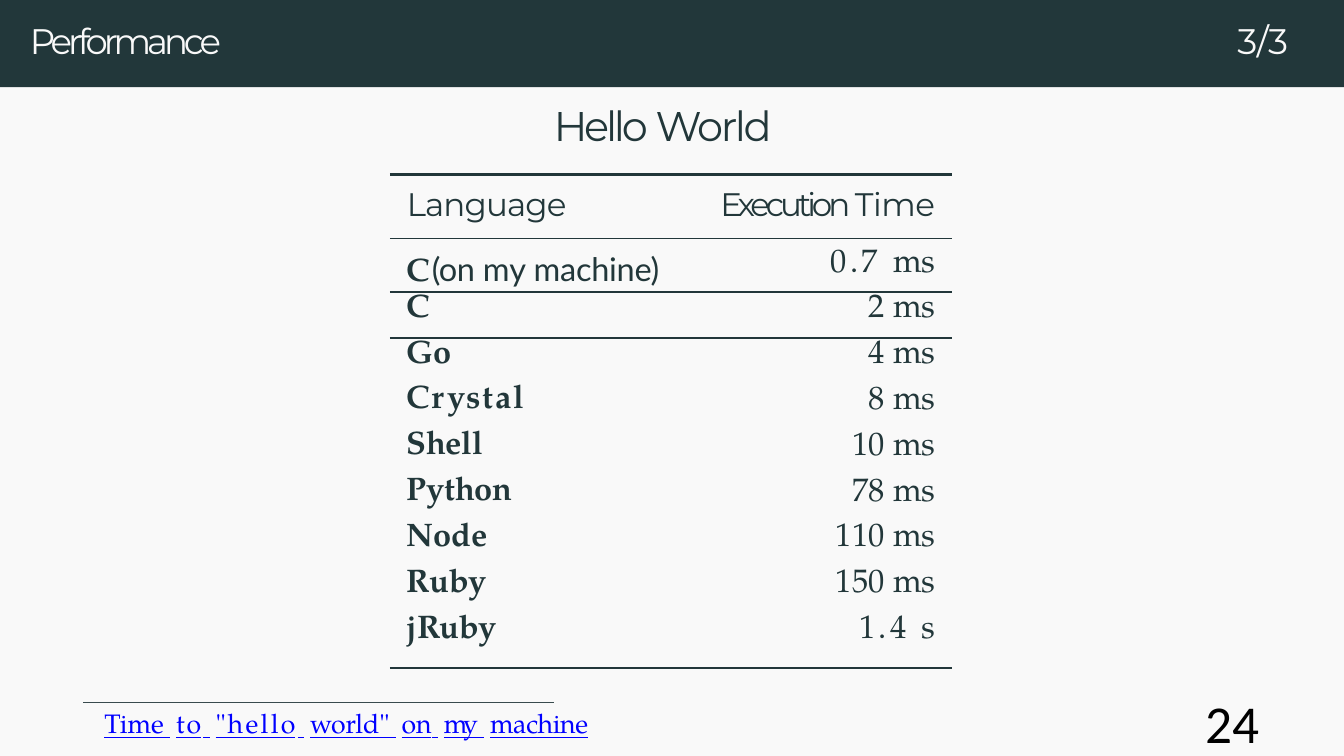
from lxml import etree
from pptx import Presentation
from pptx.dml.color import RGBColor
from pptx.enum.shapes import MSO_CONNECTOR, MSO_SHAPE
from pptx.enum.text import MSO_ANCHOR, MSO_AUTO_SIZE, PP_ALIGN
from pptx.oxml.ns import qn
from pptx.util import Inches, Pt

LEFT, RIGHT = PP_ALIGN.LEFT, PP_ALIGN.RIGHT
TOP, NO_FIT = MSO_ANCHOR.TOP, MSO_AUTO_SIZE.NONE
RECT, STRAIGHT = MSO_SHAPE.RECTANGLE, MSO_CONNECTOR.STRAIGHT

W, H = 6.31, 3.55
DARK, PALE, BLUE, BLACK, GREY = "22373A", "F9F9F9", "0000FF", "000000", "394B4E"
SANS, SERIF, LATO, PLAIN = "Montserrat", "TeX Gyre Pagella", "Lato", "Calibri"
NO_STYLE = "{2D5ABB26-0587-4C30-8999-92F81FD0307C}"

# Runs are (text, letter spacing in points)
TITLE = [("Performance", -1.4)]
PART = [("3/3", -0.2)]
SUBTITLE = [("Hello ", -1.1), ("World", -0.8)]
PAGE = [("24", 0)]
FOOTNOTE = [("Time", 0), ("to", 0.7), ('"hello', 0.8), ("world\"", 0),
            ("on", 0), ("my", -1.1), ("machine", -0.1)]
WORD_GAP = 1.9

HEADINGS = [("Language", -0.3)], [("Execution ", -1.4), ("Time", -0.2)]
MACHINE_NOTE = [("(on ", -0.2), ("my ", 0), ("machine)", -0.1)]
# Language, its spacing, time, its spacing, unit, its spacing
TIMINGS = [
    ("C ", -2.3, "0.7 ", 1.1, "ms", -0.2),
    ("C", 0, "2 ", 0, "ms", -0.2),
    ("Go", 0, "4 ", 0, "ms", -0.2),
    ("Crystal", 0.5, "8 ", 0, "ms", -0.2),
    ("Shell", -0.1, "10 ", 0, "ms", -0.2),
    ("Python", -0.1, "78 ", 0, "ms", -0.2),
    ("Node", 0, "110 ", 0, "ms", -0.2),
    ("Ruby", 0, "150 ", 0, "ms", -0.2),
    ("jRuby", -0.1, "1.4 ", 1.1, "s", 0.5),
]
TABLE_X, TABLE_Y, TABLE_H = 1.83, 0.82, 2.32
COLUMNS = 1.38, 1.26
HEAD_H, FIRST_H, LAST_H = 0.3, 0.25, 0.26
RULES = {0: 1, 1: 0.75, 2: 0.75, 10: 1}  # row boundary: line width


def rgb(color):
    return RGBColor.from_string(color)


def add_runs(p, runs, font, size, color, bold=False, underline=False):
    for text, spacing in runs:
        r = p.add_run()
        r.text = text
        r.font.name, r.font.size = font, Pt(size)
        r.font.bold, r.font.underline = bold, underline
        r.font.color.rgb = rgb(color)
        r._r.get_or_add_rPr().set("spc", str(round(spacing * 100)))


def place_text(sp, box, runs, font, size, color, margins=(0, 0.01), **style):
    sp.left, sp.top, sp.width, sp.height = map(Inches, box)
    tf = sp.text_frame
    tf.word_wrap, tf.auto_size, tf.vertical_anchor = True, NO_FIT, TOP
    tf.margin_left = tf.margin_right = Inches(margins[0])
    tf.margin_top, tf.margin_bottom = Inches(margins[1]), 0
    p = tf.paragraphs[0]
    p.alignment = LEFT
    add_runs(p, runs, font, size, color, **style)


def add_text(s, box, *args, **style):
    place_text(s.shapes.add_textbox(0, 0, 0, 0), box, *args, **style)


def rule_cell(cell, row):
    """Draw the horizontal rules that touch this row."""
    tcPr = cell._tc.get_or_add_tcPr()
    edges = [(tag, RULES[edge]) for tag, edge in (("a:lnT", row), ("a:lnB", row + 1))
             if edge in RULES]
    for i, (tag, width) in enumerate(edges):
        ln = etree.Element(qn(tag), w=str(Pt(width)))
        fill = etree.SubElement(ln, qn("a:solidFill"))
        etree.SubElement(fill, qn("a:srgbClr"), val=DARK)
        tcPr.insert(i, ln)


def add_timing_table(s):
    n = len(TIMINGS)
    body_h = (TABLE_H - HEAD_H - FIRST_H - LAST_H) / (n - 2)
    heights = [HEAD_H, FIRST_H] + [body_h] * (n - 2) + [LAST_H]
    frame = s.shapes.add_table(n + 1, 2, Inches(TABLE_X), Inches(TABLE_Y),
                               Inches(sum(COLUMNS)), Inches(TABLE_H))
    table = frame.table
    table.first_row = table.horz_banding = False
    table._tbl.tblPr.find(qn("a:tableStyleId")).text = NO_STYLE
    for column, width in zip(table.columns, COLUMNS):
        column.width = Inches(width)
    for i, height in enumerate(heights):
        table.rows[i].height = Inches(height)
        for j, align in enumerate((LEFT, RIGHT)):
            cell = table.cell(i, j)
            cell.fill.solid()
            cell.fill.fore_color.rgb = rgb(PALE)
            rule_cell(cell, i)
            cell.margin_left = Inches(0.08 if j == 0 else 0)
            cell.margin_right = Inches(0.08 if j == 1 else 0)
            cell.margin_top, cell.margin_bottom = Inches(0.05 if i < 2 else 0.01), 0
            p = cell.text_frame.paragraphs[0]
            p.alignment = align
            if i == 0:
                add_runs(p, HEADINGS[j], SANS, 11, DARK)
                continue
            name, name_gap, time, time_gap, unit, unit_gap = TIMINGS[i - 1]
            if j == 0:
                add_runs(p, [(name, name_gap)], SERIF, 11, DARK, bold=True)
                if i == 1:
                    add_runs(p, MACHINE_NOTE, LATO, 11, DARK)
            else:
                add_runs(p, [(time, time_gap), (unit, unit_gap)], SERIF, 11, DARK)


def main():
    prs = Presentation()
    prs.slide_width, prs.slide_height = Inches(W), Inches(H)
    s = prs.slides.add_slide(prs.slide_layouts[5])
    s.background.fill.solid()
    s.background.fill.fore_color.rgb = rgb(PALE)

    bar = s.shapes.add_shape(RECT, 0, 0, Inches(W), Inches(0.41))
    bar.shadow.inherit = False
    bar.fill.solid()
    bar.fill.fore_color.rgb = rgb(DARK)
    bar.line.fill.background()
    s.shapes._spTree.insert(2, bar._element)  # behind the title

    place_text(s.shapes.title, (0.14, 0.08, 0.98, 0.23), TITLE, SANS, 12, PALE)
    add_text(s, (5.81, 0.08, 0.3, 0.23), PART, SANS, 12, PALE)
    add_text(s, (2.6, 0.45, 1.11, 0.27), SUBTITLE, SANS, 14, DARK, margins=(0, 0.02))
    add_timing_table(s)

    line = s.shapes.add_connector(STRAIGHT, Inches(0.39), Inches(3.3),
                                  Inches(2.6), Inches(3.3))
    line.line.color.rgb, line.line.width = rgb(GREY), Pt(0.4)
    etree.SubElement(line._element.spPr, qn("a:effectLst"))

    words = [run for word in FOOTNOTE for run in (word, (" ", WORD_GAP))][:-1]
    add_text(s, (0.49, 3.31, 2.4, 0.18), words, SERIF, 9, BLUE, underline=True)
    add_text(s, (5.56, 3.19, 0.53, 0.36), PAGE, PLAIN, 18, BLACK, margins=(0.1, 0.05))
    prs.save("out.pptx")


if __name__ == "__main__":
    main()
